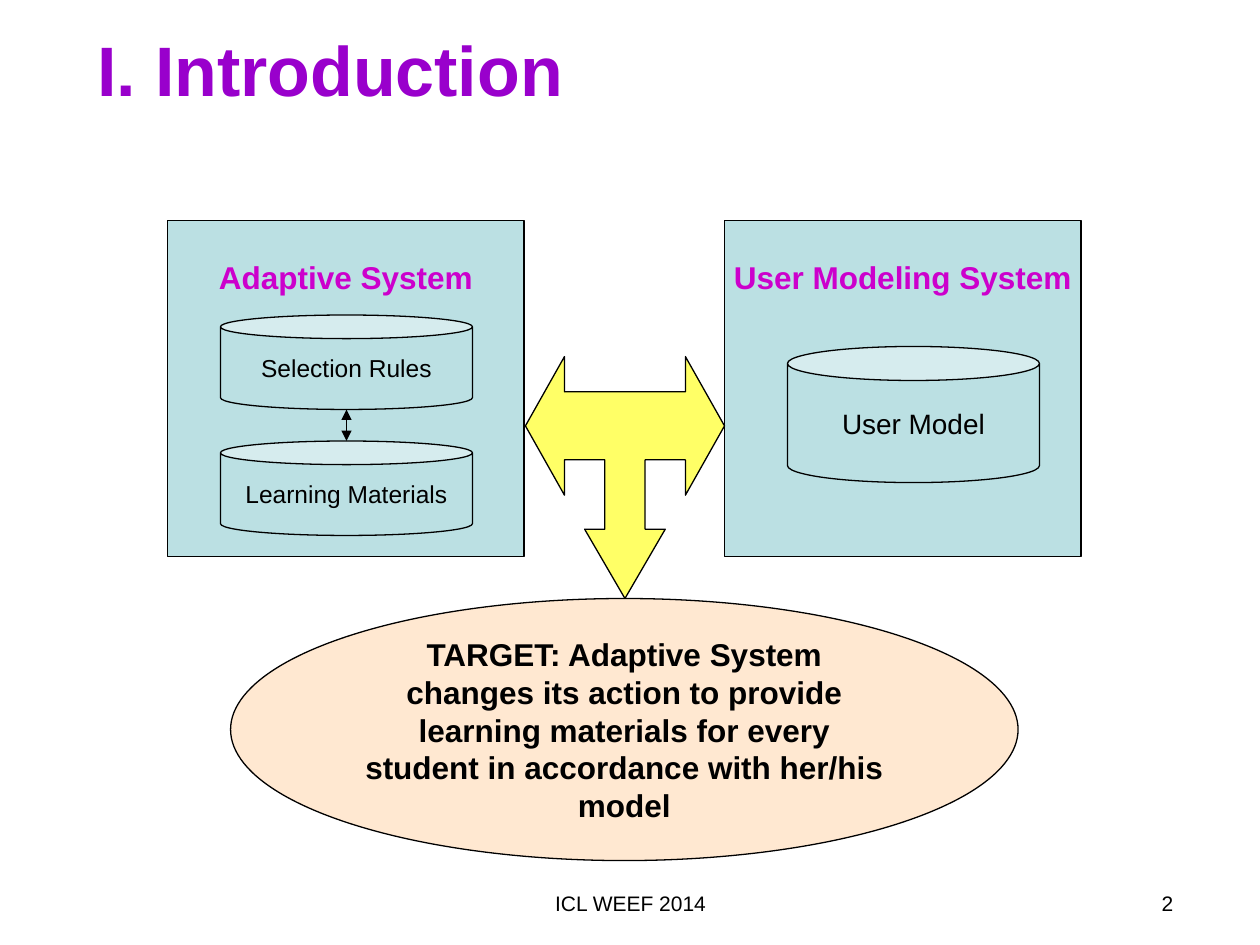
import pptx
import pptx.dml.color
import pptx.enum.shapes
import pptx.enum.text
import pptx.oxml
import pptx.oxml.ns
import pptx.util
from pptx.util import Inches

BLACK = pptx.dml.color.RGBColor(0x00, 0x00, 0x00)
PURPLE = pptx.dml.color.RGBColor(0x99, 0x00, 0xCC)
MAGENTA = pptx.dml.color.RGBColor(0xCC, 0x00, 0xCC)
TEAL = pptx.dml.color.RGBColor(0xBB, 0xE0, 0xE3)
YELLOW = pptx.dml.color.RGBColor(0xFF, 0xFF, 0x66)
PEACH = pptx.dml.color.RGBColor(0xFF, 0xE8, 0xD1)

SHAPE = pptx.enum.shapes.MSO_SHAPE
ALIGN = pptx.enum.text.PP_ALIGN
ANCHOR = pptx.enum.text.MSO_ANCHOR


def write(shape, text, size, color=BLACK, bold=False, align=ALIGN.CENTER,
          anchor=ANCHOR.MIDDLE, wrap=True):
    frame = shape.text_frame
    frame.word_wrap = wrap
    frame.vertical_anchor = anchor
    paragraph = frame.paragraphs[0]
    paragraph.alignment = align
    run = paragraph.add_run()
    run.text = text
    run.font.name = "Arial"
    run.font.size = pptx.util.Pt(size)
    run.font.bold = bold
    run.font.color.rgb = color


def paint(shape, fill):
    shape.shadow.inherit = False
    shape.fill.solid()
    shape.fill.fore_color.rgb = fill
    shape.line.color.rgb = BLACK
    shape.line.width = pptx.util.Pt(0.75)


presentation = pptx.Presentation()
presentation.slide_width = Inches(10)
presentation.slide_height = Inches(7.5)
slide = presentation.slides.add_slide(presentation.slide_layouts[5])
shapes = slide.shapes

title = shapes.title
title.left, title.top = Inches(0.67), Inches(0.08)
title.width, title.height = Inches(8.92), Inches(0.92)
write(title, "I. Introduction", 40, PURPLE, True, ALIGN.LEFT)

for text, left, width, align in [
    ("ICL WEEF 2014", 3.42, 3.17, ALIGN.CENTER),
    ("2", 7.08, 2.33, ALIGN.RIGHT),
]:
    footer = shapes.add_textbox(Inches(left), Inches(7.02), Inches(width), Inches(0.52))
    write(footer, text, 12, align=align, anchor=ANCHOR.TOP)

for text, left in [("Adaptive System", 1.33), ("User Modeling System", 5.75)]:
    system = shapes.add_shape(
        SHAPE.RECTANGLE, Inches(left), Inches(1.75), Inches(2.83), Inches(2.67))
    paint(system, TEAL)
    write(system, text, 18, MAGENTA, True, anchor=ANCHOR.TOP, wrap=False)
    system.text_frame.margin_top = Inches(0.3)

for text, left, top, height, size in [
    ("Selection Rules", 1.75, 2.5, 0.75, 14),
    ("Learning Materials", 1.75, 3.5, 0.75, 14),
    ("User Model", 6.25, 2.75, 1.08, 16),
]:
    store = shapes.add_shape(
        SHAPE.CAN, Inches(left), Inches(top), Inches(2), Inches(height))
    paint(store, TEAL)
    write(store, text, size, wrap=False)

center = 4.96
right_half = [(0.16, 3.11), (0.48, 3.11), (0.48, 2.83), (0.79, 3.38), (0.48, 3.93),
              (0.48, 3.65), (0.16, 3.65), (0.16, 4.2), (0.32, 4.2)]
outline = [(center + x, y) for x, y in right_half]
outline.append((center, 4.75))
outline += [(center - x, y) for x, y in reversed(right_half)]
points = [(Inches(x), Inches(y)) for x, y in outline]
builder = shapes.build_freeform(*points[0])
builder.add_line_segments(points[1:], close=True)
paint(builder.convert_to_shape(), YELLOW)

target = shapes.add_shape(
    SHAPE.OVAL, Inches(1.83), Inches(4.75), Inches(6.25), Inches(2.08))
paint(target, PEACH)
write(target, "TARGET: Adaptive System changes its action to provide learning "
      "materials for every student in accordance with her/his model", 18, bold=True)

link = shapes.add_connector(
    pptx.enum.shapes.MSO_CONNECTOR.STRAIGHT,
    Inches(2.75), Inches(3.25), Inches(2.75), Inches(3.5))
link.line.color.rgb = BLACK
link.line.width = pptx.util.Pt(0.75)
line = link.line._get_or_add_ln()
for end in ("a:headEnd", "a:tailEnd"):
    arrowhead = pptx.oxml.xmlchemy.OxmlElement(end)
    arrowhead.set("type", "triangle")
    line.append(arrowhead)
link._element.spPr.append(pptx.oxml.xmlchemy.OxmlElement("a:effectLst"))

presentation.save("out.pptx")
